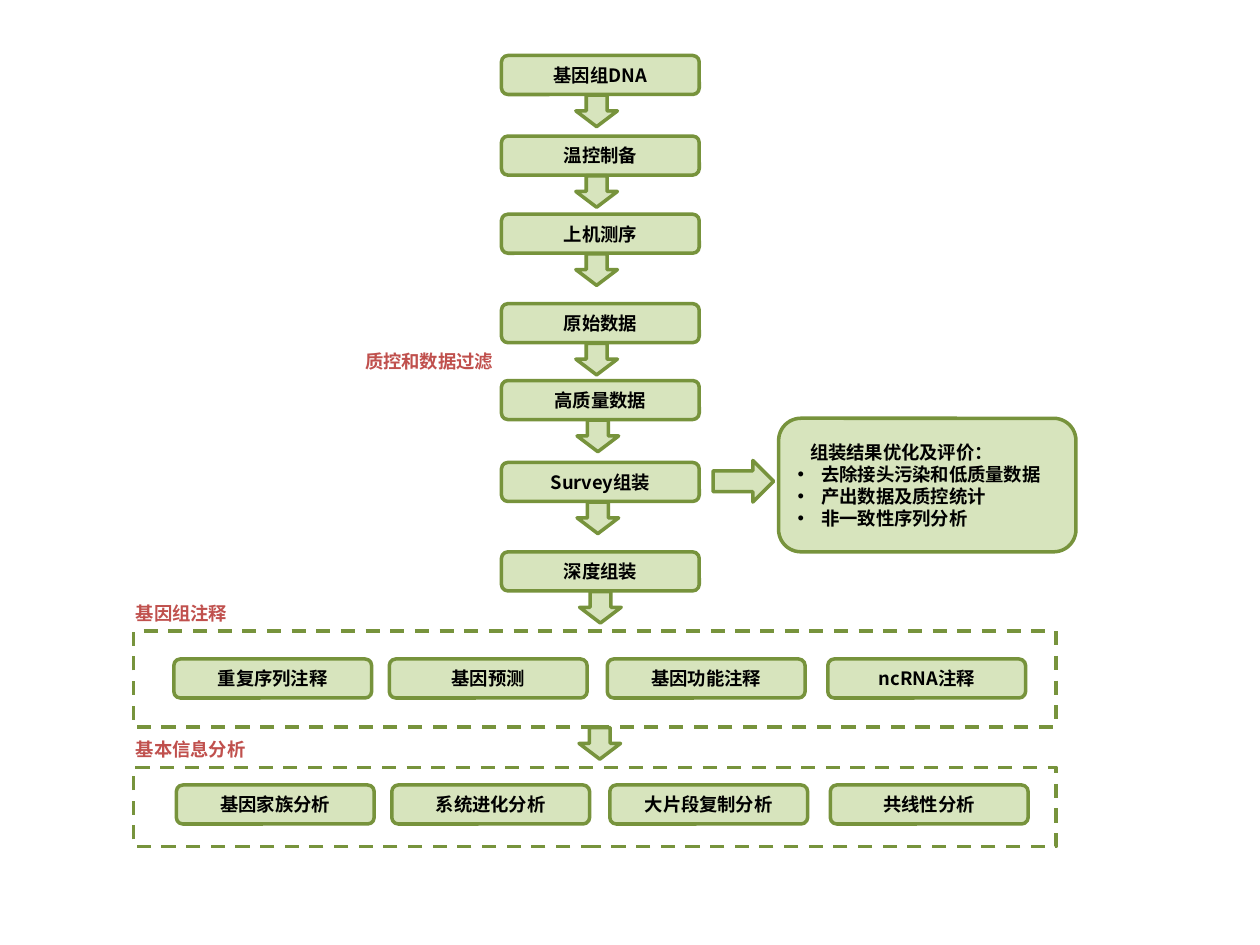
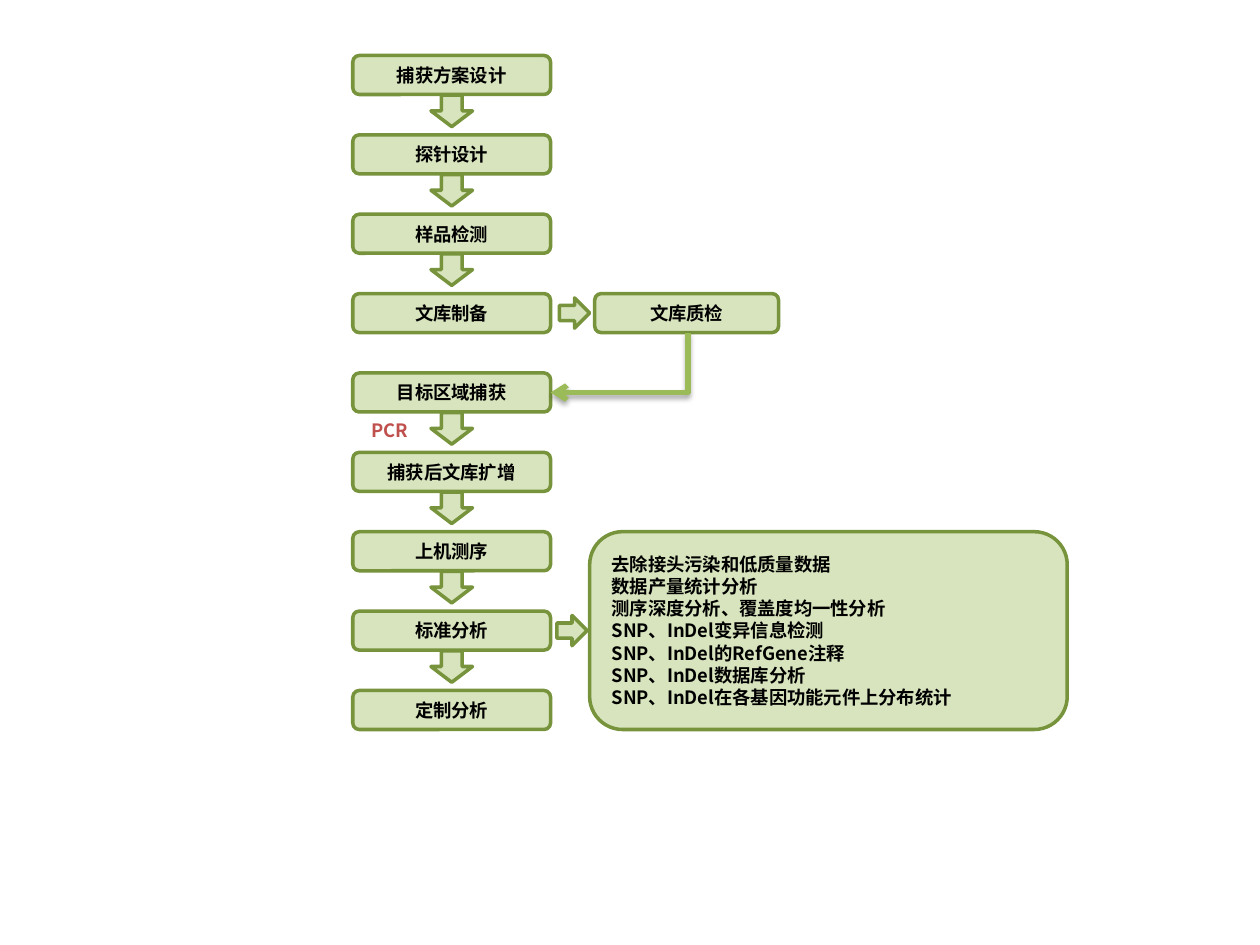
from dataclasses import dataclass

from lxml import etree
from pptx import Presentation
from pptx.dml.color import RGBColor
from pptx.enum.dml import MSO_LINE
from pptx.enum.shapes import MSO_CONNECTOR, MSO_SHAPE
from pptx.enum.text import MSO_ANCHOR, PP_ALIGN
from pptx.oxml.ns import qn
from pptx.util import Inches, Pt

ROUND, RECT, ARROW = (MSO_SHAPE.ROUNDED_RECTANGLE, MSO_SHAPE.RECTANGLE,
                      MSO_SHAPE.RIGHT_ARROW)
ELBOW, DASH = MSO_CONNECTOR.ELBOW, MSO_LINE.DASH
MIDDLE, LEFT, CENTER = MSO_ANCHOR.MIDDLE, PP_ALIGN.LEFT, PP_ALIGN.CENTER


@dataclass(frozen=True)
class Theme:
    """Colours, type and line sizes of all slides."""
    font: str = "Noto Sans CJK SC"
    size: float = 10.5
    lead: float = 12.6
    ink: str = "000000"
    note: str = "C0504D"
    fill: str = "D7E4BD"
    edge: str = "77933C"
    link: str = "9BBB59"
    line: float = 2
    thick: float = 3


THEME = Theme()
STEP_W, STEP_H = 1.57, 0.31
DROP = 0.44                   # from the top of a step to its arrow's centre
ARROW_W, ARROW_H = 0.25, 0.33
COLS = (0, 1.71, 3.44, 5.19)  # lefts of the steps in a group


def rgb(code):
    """Turn a hex code into a colour."""
    return RGBColor.from_string(code)


def inch(*vals):
    """Turn numbers into lengths in inches."""
    return [Inches(val) for val in vals]


def write(para, text, color=THEME.ink, align=LEFT):
    """Put one formatted run into a paragraph."""
    para.alignment = align
    para.line_spacing = Pt(THEME.lead)
    run = para.add_run()
    run.text = text
    font = run.font
    font.name, font.size, font.bold = THEME.font, Pt(THEME.size), True
    font.color.rgb = rgb(color)
    east = etree.SubElement(font._element, qn("a:ea"))
    east.set("typeface", THEME.font)


def indent(para, left, first, mark=None):
    """Set the indents of a paragraph and its bullet."""
    props = para._p.get_or_add_pPr()
    props.set("marL", str(Inches(left)))
    props.set("indent", str(Inches(first)))
    if mark:
        face = etree.SubElement(props, qn("a:buFont"))
        face.set("typeface", "Arial")
        etree.SubElement(props, qn("a:buChar")).set("char", mark)


def shape(slide, kind, box, fill=THEME.fill):
    """Draw a flat outlined shape, hollow when fill is None."""
    item = slide.shapes.add_shape(kind, *inch(*box))
    item.shadow.inherit = False
    if fill:
        item.fill.solid()
        item.fill.fore_color.rgb = rgb(fill)
    else:
        item.fill.background()
    item.line.color.rgb = rgb(THEME.edge)
    item.line.width = Pt(THEME.line)
    return item


def panel(slide, box, lines, align=LEFT):
    """Draw a rounded box with one paragraph a line; return these."""
    frame = shape(slide, ROUND, box).text_frame
    frame.word_wrap = True
    frame.vertical_anchor = MIDDLE
    for num, text in enumerate(lines):
        para = frame.add_paragraph() if num else frame.paragraphs[0]
        write(para, text, align=align)
    return frame.paragraphs


def step(slide, left, top, text, width=STEP_W):
    """Draw one step of the flow."""
    panel(slide, (left, top, width, STEP_H), [text], CENTER)


def arrow(slide, mid, level, width=ARROW_W, height=ARROW_H, turn=0):
    """Draw a block arrow around its centre."""
    box = (mid - width / 2, level - height / 2, width, height)
    shape(slide, ARROW, box).rotation = turn


def label(slide, left, top, text, width=1.34):
    """Write a red remark."""
    frame = slide.shapes.add_textbox(*inch(left, top, width, 0.29)).text_frame
    frame.word_wrap = True
    write(frame.paragraphs[0], text, THEME.note)


def chain(slide, left, steps):
    """Draw a column of steps; shift moves an arrow, None omits it."""
    for top, text, shift in steps:
        step(slide, left, top, text)
        if shift is not None:
            arrow(slide, left + STEP_W / 2 + shift, top + DROP, turn=90)


def group(slide, box, title, pad, drop, names):
    """Draw a dashed frame with its title and a row of steps."""
    left, top = box[:2]
    shape(slide, RECT, box, None).line.dash_style = DASH
    label(slide, left - 0.08, top - 0.28, title)
    for col, name in zip(COLS, names):
        step(slide, left + pad + col, top + drop, name)


def bend(slide, start, end):
    """Link two points, first down and then to the left."""
    wide, tall = start[0] - end[0], end[1] - start[1]
    mid, level = (start[0] + end[0]) / 2, (start[1] + end[1]) / 2
    left, top = mid - tall / 2, level - wide / 2
    link = slide.shapes.add_connector(
        ELBOW, *inch(left, top, left + tall, top + wide))
    link.line.color.rgb = rgb(THEME.link)
    link.line.width = Pt(THEME.thick)
    props = link._element.spPr
    props.find(qn("a:xfrm")).set("rot", str(90 * 60000))
    props.find(qn("a:prstGeom")).set("prst", "bentConnector2")
    head = etree.SubElement(props.find(qn("a:ln")), qn("a:tailEnd"))
    head.set("type", "arrow")
    fx = etree.SubElement(props, qn("a:effectLst"))
    shade = etree.SubElement(fx, qn("a:outerShdw"), blurRad=str(Pt(3.1)),
                             dist=str(Pt(1.8)), dir=str(90 * 60000),
                             rotWithShape="0")
    tint = etree.SubElement(shade, qn("a:srgbClr"), val=THEME.ink)
    etree.SubElement(tint, qn("a:alpha"), val="35000")


def genome(slide):
    """Build the flow of genome assembly."""
    chain(slide, 3.98, [
        (0.44, "基因组DNA", -0.03), (1.08, "温控制备", -0.03),
        (1.7, "上机测序", -0.03), (2.41, "原始数据", -0.03),
        (3.02, "高质量数据", -0.02), (3.67, "Survey组装", -0.02),
        (4.38, "深度组装", 0)])
    label(slide, 2.8, 2.73, "质控和数据过滤")
    arrow(slide, 5.9, 3.82, 0.48)
    head, *rest = panel(slide, (6.18, 3.32, 2.36, 1.06), [
        "组装结果优化及评价：", "去除接头污染和低质量数据",
        "产出数据及质控统计", "非一致性序列分析"])
    indent(head, 0.1, 0)
    for para in rest:
        indent(para, 0.19, -0.19, "•")
    group(slide, (1.06, 5.01, 7.32, 0.76), "基因组注释", 0.32, 0.22,
          ["重复序列注释", "基因预测", "基因功能注释", "ncRNA注释"])
    arrow(slide, 4.76, 5.9, turn=90)
    group(slide, (1.06, 6.09, 7.32, 0.63), "基本信息分析", 0.34, 0.14,
          ["基因家族分析", "系统进化分析", "大片段复制分析", "共线性分析"])


def capture(slide):
    """Build the flow of target capture."""
    left, first, pitch = 2.8, 0.44, 0.63
    names = ["捕获方案设计", "探针设计", "样品检测", "文库制备", "目标区域捕获",
             "捕获后文库扩增", "上机测序", "标准分析", "定制分析"]
    tops = [first + pitch * num for num in range(len(names))]
    stops = (names[3], names[-1])
    chain(slide, left, [(top, name, None if name in stops else 0)
                        for top, name in zip(tops, names)])
    half, side = STEP_H / 2, 0.24
    arrow(slide, 4.56, tops[3] + half, side, side)
    step(slide, 4.72, tops[3], "文库质检", 1.46)
    bend(slide, (5.46, tops[3] + STEP_H), (left + STEP_W, tops[4] + half))
    label(slide, 2.85, 3.28, "PCR", 0.56)
    panel(slide, (4.68, tops[6], 3.79, 2 * pitch + STEP_H), [
        "去除接头污染和低质量数据", "数据产量统计分析",
        "测序深度分析、覆盖度均一性分析", "SNP、InDel变异信息检测",
        "SNP、InDel的RefGene注释", "SNP、InDel数据库分析",
        "SNP、InDel在各基因功能元件上分布统计"])
    arrow(slide, 4.54, tops[7] + half, side, side)


def main():
    """Make the deck and save it."""
    deck = Presentation()
    deck.slide_width, deck.slide_height = inch(10, 7.5)
    for build in (genome, capture):
        build(deck.slides.add_slide(deck.slide_layouts[6]))
    deck.save("out.pptx")


main()
